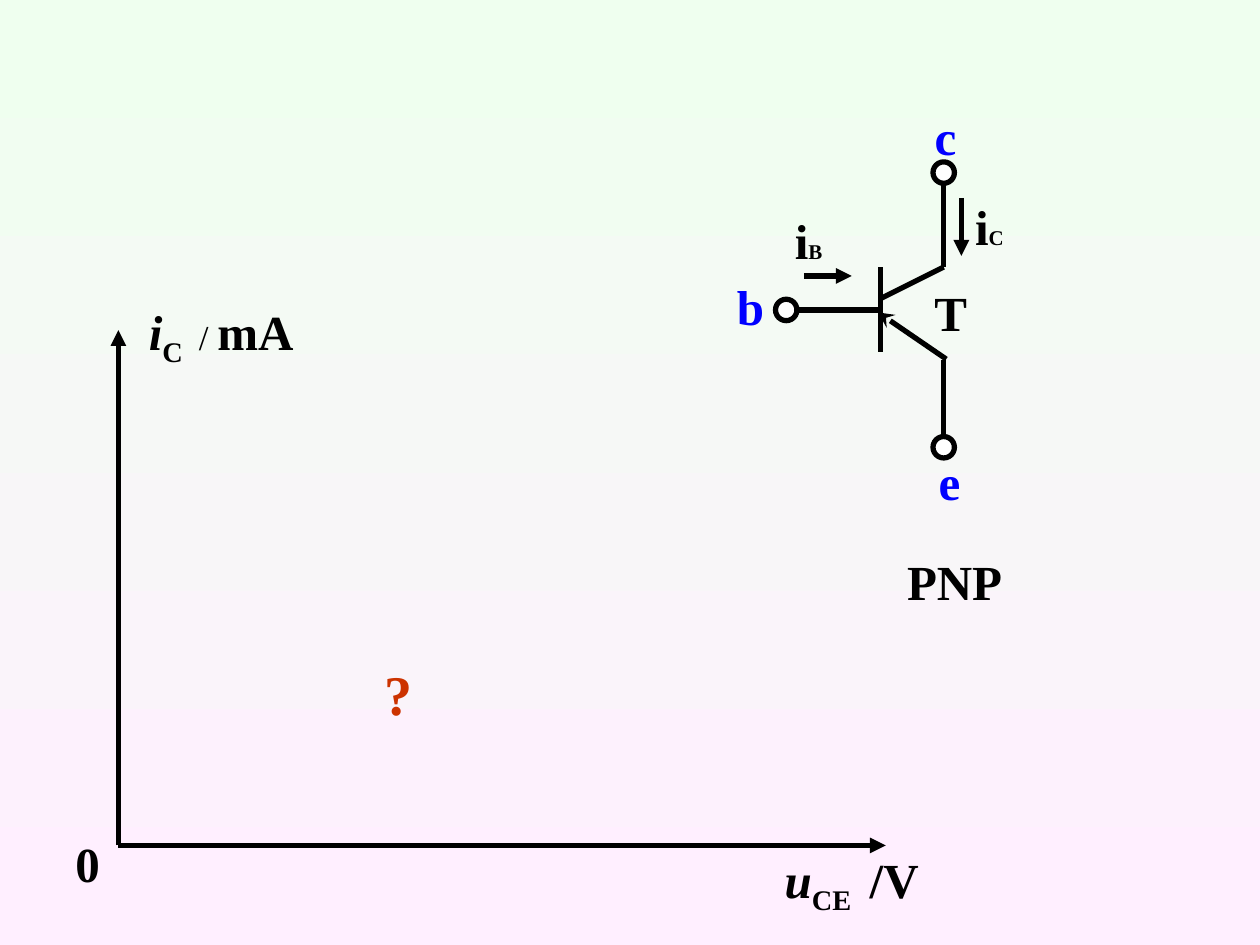
from lxml import etree
from pptx import Presentation
from pptx.dml.color import RGBColor
from pptx.enum.shapes import MSO_CONNECTOR, MSO_SHAPE
from pptx.enum.text import MSO_ANCHOR, MSO_AUTO_SIZE, PP_ALIGN
from pptx.oxml.ns import qn
from pptx.util import Inches, Pt

STRAIGHT = MSO_CONNECTOR.STRAIGHT
OVAL = MSO_SHAPE.OVAL
MIDDLE, TOP = MSO_ANCHOR.MIDDLE, MSO_ANCHOR.TOP
CENTER, LEFT = PP_ALIGN.CENTER, PP_ALIGN.LEFT
GROW = MSO_AUTO_SIZE.SHAPE_TO_FIT_TEXT
FONT = "Times New Roman"
COLORS = {"ink": "000000", "pin": "0000FF", "ask": "CC3300", "dot": "FF3300",
          "white": "FFFFFF", "mint": "EFFFEF", "pink": "FFEFFF"}


def color(name):
    """Return the named colour."""
    return RGBColor.from_string(COLORS[name])


def add_line(shapes, box, start, end, head=None, tint="ink", width=3):
    """Draw a line between two points of the box, with an optional arrowhead."""
    ends = [Inches(o + d) for point in (start, end) for o, d in zip(box, point)]
    line = shapes.add_connector(STRAIGHT, *ends)
    line.line.color.rgb = color(tint)
    line.line.width = Pt(width)
    props = line._element.spPr
    if head:
        etree.SubElement(props.find(qn("a:ln")), qn("a:tailEnd"), type=head)
    etree.SubElement(props, qn("a:effectLst"))


def add_text(shapes, box, area, runs, tint="ink", wrap=True, align=CENTER,
             anchor=MIDDLE):
    """Write runs of (text, size, bold, italic, baseline) in an area of the box."""
    left, top, width, height = area
    label = shapes.add_textbox(Inches(box[0] + left), Inches(box[1] + top),
                               Inches(width), Inches(height))
    frame = label.text_frame
    frame.word_wrap = wrap
    frame.auto_size = GROW
    frame.vertical_anchor = anchor
    para = frame.paragraphs[0]
    para.alignment = align
    for text, size, bold, slant, base in runs:
        run = para.add_run()
        run.text = text
        font = run.font
        font.name, font.size = FONT, Pt(size)
        font.bold, font.italic = bold, slant
        font.color.rgb = color(tint)
        if base:
            run._r.get_or_add_rPr().set("baseline", str(base * 1000))


def plain(text, size=28):
    """Return one bold upright run."""
    return (text, size, True, False, 0)


def add_plot(shapes, box):
    """Draw the empty output-curve axes with their labels."""
    width, height = box[2:]
    zero = (0, height)
    add_line(shapes, box, zero, (0, 0), "triangle")
    add_line(shapes, box, zero, (width, height), "triangle")
    add_text(shapes, box, (0.12, -0.28, 1.39, 0.63),
             [("i", 28, True, True, 0), ("C ", 28, True, False, -25),
              (" / ", 20, False, False, 0), plain("mA")], wrap=False)
    add_text(shapes, box, (5.19, 4.07, 1.26, 0.63),
             [("u", 28, True, True, 0), ("CE", 28, True, False, -25),
              (" ", 24, True, True, 0), (" ", 18, False, False, 0),
              plain("/V")], wrap=False)
    add_text(shapes, box, (-0.44, 3.94, 0.39, 0.57), [plain("0")], wrap=False)
    add_line(shapes, box, (0.09, 3.67), (0.09, 3.67), tint="dot", width=2.25)
    add_text(shapes, box, (0.7, 2.56, 3.04, 0.64), [plain("?", 32)], "ask")


def add_symbol(shapes, box):
    """Draw the transistor symbol with its three pins."""
    parts = shapes.add_group_shape().shapes
    bar, side, mid = 1.24, 1.74, 1.67
    lines = [((bar, 1.33), (bar, 2.0)), ((bar, 1.58), (side, 1.33)),
             ((side, 1.33), (side, 0.58)), ((side, 2.07), (side, 2.69)),
             ((bar, mid), (0.57, mid))]
    for start, end in lines:
        add_line(parts, box, start, end)
    add_line(parts, box, (1.76, 2.06), (1.22, 1.69), "stealth")
    size = 0.17
    pins = [("c", side, 0.58, (1.42, 0, 0.67, 0.57), True),
            ("b", 0.49, mid, (0, 1.35, 0.41, 0.57), False),
            ("e", side, 2.76, (1.6, 2.74, 0.37, 0.57), False)]
    for name, x, y, area, wrap in pins:
        ring = parts.add_shape(OVAL, Inches(box[0] + x - size / 2),
                               Inches(box[1] + y - size / 2),
                               Inches(size), Inches(size))
        ring.shadow.inherit = False
        ring.fill.solid()
        ring.fill.fore_color.rgb = color("white")
        ring.line.color.rgb = color("ink")
        ring.line.width = Pt(3)
        add_text(parts, box, area, [plain(name)], "pin", wrap)
    add_text(parts, box, (1.32, 1.4, 0.95, 0.57), [plain("T")], anchor=TOP)


def add_notes(shapes, box):
    """Add the current arrows and the type label around the symbol."""
    flows = [("B", (0.63, 1.4), (1.01, 1.4), (0.46, 0.83)),
             ("C", (1.88, 0.78), (1.88, 1.24), (1.89, 0.72))]
    for name, start, end, spot in flows:
        add_line(shapes, box, start, end, "triangle")
        add_text(shapes, box, (*spot, 1.1, 0.57), [plain("i"), plain(name, 12)],
                 align=LEFT, anchor=TOP)
    add_text(shapes, box, (1.35, 3.54, 1.15, 0.57), [plain("PNP")],
             align=LEFT, anchor=TOP)


def main():
    """Build and save the slide."""
    deck = Presentation()
    deck.slide_width, deck.slide_height = Inches(10), Inches(7.5)
    slide = deck.slides.add_slide(deck.slide_layouts[6])
    fill = slide.background.fill
    fill.gradient()
    fill.gradient_angle = 270
    for stop, name in zip(fill.gradient_stops, ("mint", "pink")):
        stop.color.rgb = color(name)
    add_plot(slide.shapes, (0.94, 2.62, 6.09, 4.09))
    circuit = (5.75, 0.79, 2.5, 4.11)
    add_symbol(slide.shapes, circuit)
    add_notes(slide.shapes, circuit)
    deck.save("out.pptx")


if __name__ == "__main__":
    main()
